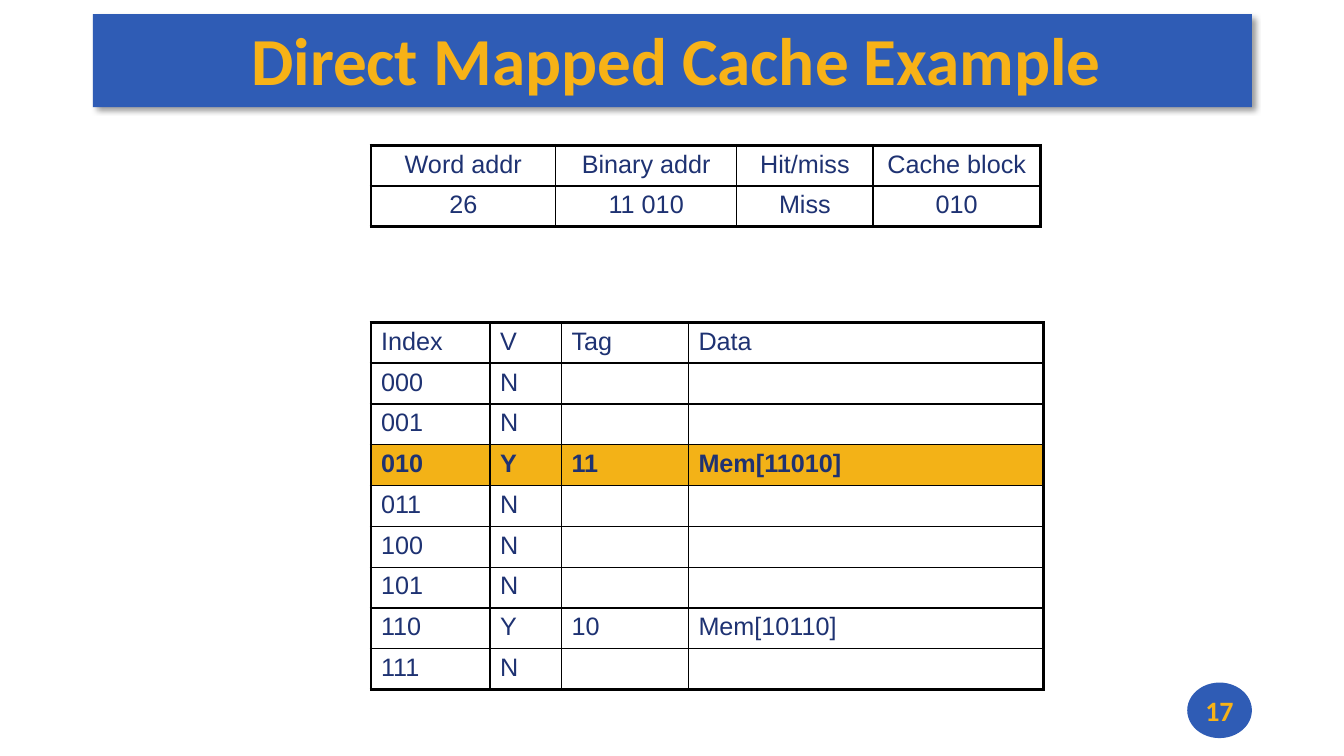
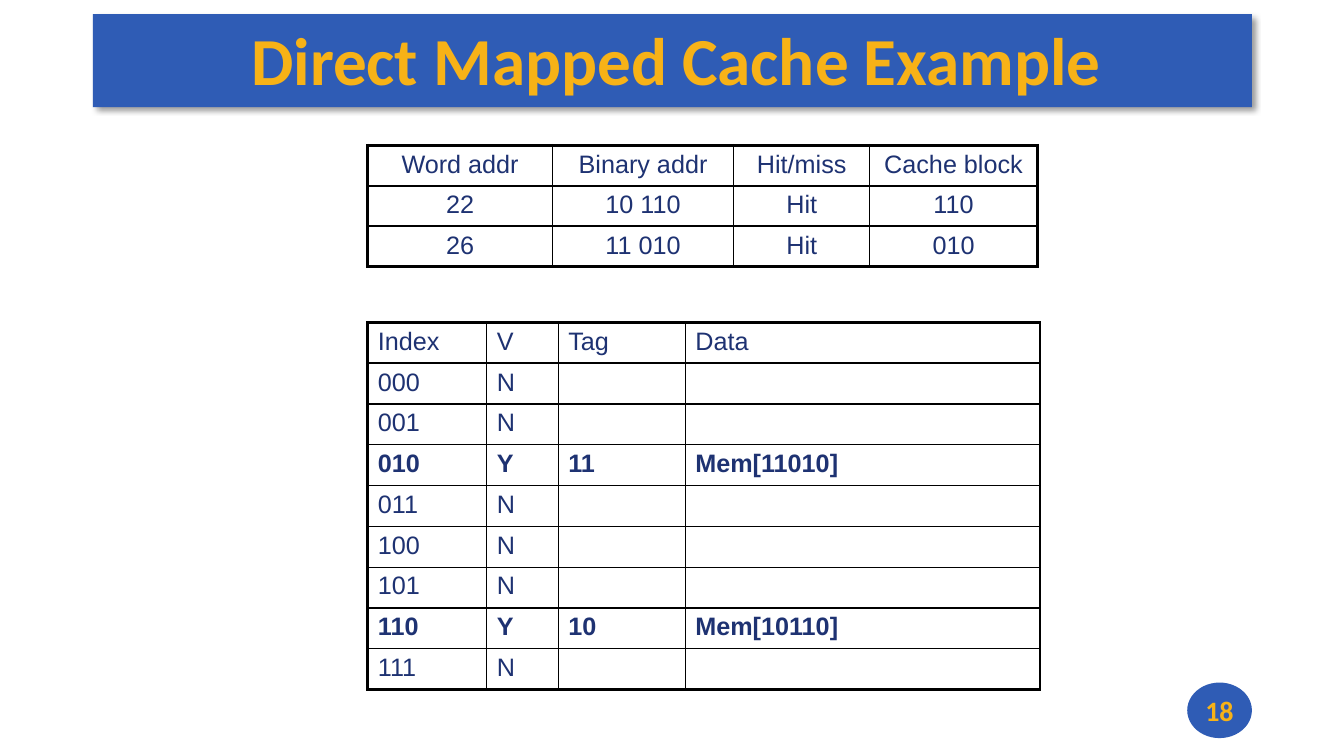
from dataclasses import dataclass

from lxml.etree import SubElement
from pptx import Presentation
from pptx.dml.color import RGBColor
from pptx.enum.shapes import MSO_SHAPE
from pptx.enum.text import MSO_ANCHOR, MSO_AUTO_SIZE, PP_ALIGN
from pptx.oxml.ns import qn
from pptx.shapes.autoshape import Shape
from pptx.slide import Slide
from pptx.table import _Cell as Cell
from pptx.text.text import TextFrame
from pptx.util import Cm, Pt

BLUE = "2F5CB5"
GOLD = "F7B217"
HIGHLIGHT = "F3B217"
NAVY = "1E3272"
BLACK = "000000"

TITLE = "Direct Mapped Cache Example"
TITLE_LAYOUT = 5
BAND_LEFT, BAND_WIDTH, BAND_HEIGHT = 2.34, 29.21, 2.34
ROW_HEIGHT = 1.02
OUTER_LINE, HEADER_LINE, INNER_LINE = 2.25, 1.5, 1

ADDRESS_HEADER = ("Word addr", "Binary addr", "Hit/miss", "Cache block")
CACHE_HEADER = ("Index", "V", "Tag", "Data")


@dataclass(frozen=True)
class TableStyle:
    top: float
    column_widths: tuple[float, ...]
    alignment: PP_ALIGN
    row_line: float


@dataclass(frozen=True)
class CacheStep:
    """One slide: the accesses made and the cache they leave behind."""
    number: int
    tables_left: float
    accesses: tuple[tuple[str, ...], ...]
    bold_indexes: tuple[str, ...]
    highlighted_indexes: tuple[str, ...] = ()


ADDRESS_STYLE = TableStyle(3.66, (4.65, 4.57, 3.43, 4.22), PP_ALIGN.CENTER, HEADER_LINE)
CACHE_STYLE = TableStyle(8.13, (3, 1.8, 3.2, 8.94), PP_ALIGN.LEFT, INNER_LINE)

CACHED_TAGS = {"010": "11", "110": "10"}

STEPS = (
    CacheStep(17, 9.35, (("26", "11 010", "Miss", "010"),), ("010",), ("010",)),
    CacheStep(
        18,
        9.27,
        (("22", "10 110", "Hit", "110"), ("26", "11 010", "Hit", "010")),
        ("010", "110"),
    ),
)


def color(hex_value: str) -> RGBColor:
    return RGBColor.from_string(hex_value)


def cache_rows() -> list[tuple[str, ...]]:
    """List the eight cache blocks; a block is valid when it has a tag."""
    rows = []
    for block in range(8):
        index = f"{block:03b}"
        tag = CACHED_TAGS.get(index)
        rows.append((index, "Y", tag, f"Mem[{tag}{index}]") if tag else (index, "N", "", ""))
    return rows


def write_text(
    text_frame: TextFrame,
    text: str,
    font_name: str,
    size: float,
    hex_value: str,
    bold: bool,
    alignment: PP_ALIGN,
) -> None:
    text_frame.text = text
    paragraph = text_frame.paragraphs[0]
    paragraph.alignment = alignment
    for run in paragraph.runs:
        run.font.name = font_name
        run.font.size = Pt(size)
        run.font.bold = bold
        run.font.color.rgb = color(hex_value)


def set_margins(text_frame: TextFrame, left: float, vertical: float) -> None:
    text_frame.margin_left = Cm(left)
    text_frame.margin_right = 0
    text_frame.margin_top = text_frame.margin_bottom = Cm(vertical)


def add_blue_shape(
    slide: Slide, kind: MSO_SHAPE, left: float, top: float, width: float, height: float
) -> Shape:
    """Add a plain blue shape behind the slide title."""
    shape = slide.shapes.add_shape(kind, Cm(left), Cm(top), Cm(width), Cm(height))
    shape.shadow.inherit = False
    shape.fill.solid()
    shape.fill.fore_color.rgb = color(BLUE)
    shape.line.fill.background()
    slide.shapes.title.element.addprevious(shape.element)
    return shape


def add_drop_shadow(shape: Shape) -> None:
    effects = shape.element.spPr.find(qn("a:effectLst"))
    shadow = SubElement(
        effects,
        qn("a:outerShdw"),
        blurRad=str(Pt(4)),
        dist=str(Pt(3)),
        dir="2700000",
        algn="tl",
        rotWithShape="0",
    )
    shadow_color = SubElement(shadow, qn("a:srgbClr"), val=BLACK)
    SubElement(shadow_color, qn("a:alpha"), val="40000")


def add_title(slide: Slide) -> None:
    band = add_blue_shape(slide, MSO_SHAPE.RECTANGLE, BAND_LEFT, 0.36, BAND_WIDTH, BAND_HEIGHT)
    add_drop_shadow(band)
    title = slide.shapes.title
    title.left, title.top = Cm(BAND_LEFT), Cm(0.3)
    title.width, title.height = Cm(BAND_WIDTH), Cm(BAND_HEIGHT)
    text_frame = title.text_frame
    text_frame.auto_size = MSO_AUTO_SIZE.NONE
    text_frame.vertical_anchor = MSO_ANCHOR.MIDDLE
    set_margins(text_frame, 0.2, 0.08)
    write_text(text_frame, TITLE, "Calibri", 48, GOLD, True, PP_ALIGN.CENTER)


def add_number_badge(slide: Slide, number: int) -> None:
    badge = add_blue_shape(slide, MSO_SHAPE.OVAL, 29.92, 17.2, 1.63, 1.4)
    badge.text_frame.vertical_anchor = MSO_ANCHOR.MIDDLE
    badge.text_frame.word_wrap = False
    set_margins(badge.text_frame, 0, 0)
    write_text(badge.text_frame, str(number), "Calibri", 20, GOLD, True, PP_ALIGN.CENTER)


def set_borders(cell: Cell, left: float, right: float, top: float, bottom: float) -> None:
    """Draw the four cell borders, with widths in points."""
    properties = cell._tc.get_or_add_tcPr()
    for side, width in zip("LRTB", (left, right, top, bottom)):
        line = SubElement(properties, qn(f"a:ln{side}"), w=str(Pt(width)))
        fill = SubElement(line, qn("a:solidFill"))
        SubElement(fill, qn("a:srgbClr"), val=BLACK)


def add_grid(
    slide: Slide,
    left: float,
    style: TableStyle,
    rows: list[tuple[str, ...]],
    bold_keys: tuple[str, ...] = (),
    highlighted_keys: tuple[str, ...] = (),
) -> None:
    """Add a bordered table; a row's first text is the key that marks it."""
    widths = style.column_widths
    frame = slide.shapes.add_table(
        len(rows),
        len(widths),
        Cm(left),
        Cm(style.top),
        Cm(sum(widths)),
        Cm(ROW_HEIGHT * len(rows)),
    )
    table = frame.table
    table.first_row = table.horz_banding = False
    for column, width in zip(table.columns, widths):
        column.width = Cm(width)

    row_lines = [OUTER_LINE, HEADER_LINE] + [style.row_line] * (len(rows) - 2) + [OUTER_LINE]
    column_lines = [OUTER_LINE] + [INNER_LINE] * (len(widths) - 1) + [OUTER_LINE]
    for row_number, texts in enumerate(rows):
        table.rows[row_number].height = Cm(ROW_HEIGHT)
        key = texts[0]
        for column_number, text in enumerate(texts):
            cell = table.cell(row_number, column_number)
            write_text(
                cell.text_frame, text, "Arial", 18, NAVY, key in bold_keys, style.alignment
            )
            set_borders(
                cell,
                *column_lines[column_number:column_number + 2],
                *row_lines[row_number:row_number + 2],
            )
            if key in highlighted_keys:
                cell.fill.solid()
                cell.fill.fore_color.rgb = color(HIGHLIGHT)
            else:
                cell.fill.background()


def add_step_slide(presentation: Presentation, step: CacheStep) -> None:
    slide = presentation.slides.add_slide(presentation.slide_layouts[TITLE_LAYOUT])
    add_title(slide)
    add_number_badge(slide, step.number)
    add_grid(
        slide,
        step.tables_left,
        CACHE_STYLE,
        [CACHE_HEADER, *cache_rows()],
        step.bold_indexes,
        step.highlighted_indexes,
    )
    add_grid(slide, step.tables_left, ADDRESS_STYLE, [ADDRESS_HEADER, *step.accesses])


def main() -> None:
    presentation = Presentation()
    presentation.slide_width, presentation.slide_height = Cm(33.87), Cm(19.05)
    for step in STEPS:
        add_step_slide(presentation, step)
    presentation.save("out.pptx")


if __name__ == "__main__":
    main()
